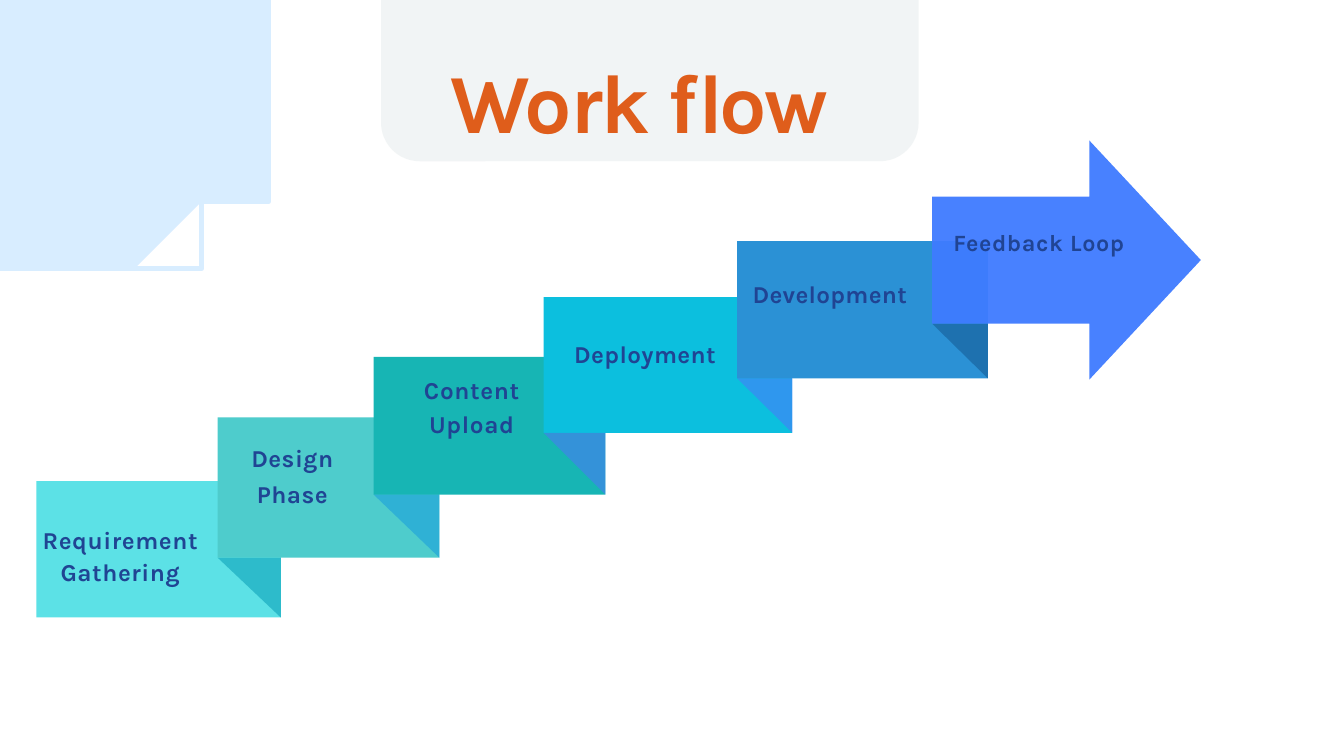
from lxml import etree
from pptx import Presentation
from pptx.dml.color import RGBColor
from pptx.enum.shapes import MSO_SHAPE
from pptx.enum.text import MSO_ANCHOR, PP_ALIGN
from pptx.oxml.ns import qn
from pptx.util import Inches, Pt

RECTANGLE = MSO_SHAPE.RECTANGLE
FOLD = MSO_SHAPE.RIGHT_TRIANGLE
ARROW = MSO_SHAPE.RIGHT_ARROW
PANEL = MSO_SHAPE.ROUND_2_SAME_RECTANGLE
LEFT, CENTER = PP_ALIGN.LEFT, PP_ALIGN.CENTER
TOP, MIDDLE = MSO_ANCHOR.TOP, MSO_ANCHOR.MIDDLE

# The slide is a grid of 20 columns by 11.25 rows, each cell one inch square.
COLUMNS, ROWS = 20, 11.25
FONT = "Karla"
NAVY, ORANGE, PALE_BLUE = "204493", "DF5D1B", "D8EDFF"

# left, top, right, bottom, colour, colour of the fold under the next step
STEPS = [
    (0.54, 7.16, 4.18, 9.19, "5CE1E6", "0097B1"),
    (3.24, 6.21, 6.54, 8.3, "4ECCCC", "1297DF"),
    (5.56, 5.31, 9.01, 7.36, "17B5B4", "5270FF"),
    (8.09, 4.42, 11.79, 6.44, "0CBFDE", "5270FF"),
    (10.97, 3.59, 14.7, 5.63, "2B91D5", "12538A"),
]
ARROW_LEFT, ARROW_TOP, ARROW_WIDTH, ARROW_HEIGHT = 13.87, 2.09, 4, 3.56
SHAFT_HEIGHT, HEAD_LENGTH = 1.89, 1.66
SHAFT_BOTTOM = ARROW_TOP + (ARROW_HEIGHT + SHAFT_HEIGHT) / 2

# lines, centre column, centre row, size, letter spacing, gap between lines
LABELS = [
    (["Requirement", "Gathering"], 1.79, 8.27, 26, 0.6, 4),
    (["Design", "Phase"], 4.35, 7.08, 26, 0.5, 8),
    (["Content", "Upload"], 7.02, 6.05, 26, 0.7, 5),
    (["Deployment"], 9.6, 5.26, 26, 0.4, 0),
    (["Development"], 12.35, 4.37, 26, 0.3, 0),
    (["Feedback Loop"], 15.46, 3.6, 25, 0.7, 0),
]
LABEL_WIDTH, LABEL_HEIGHT = 3, 1.1

DISC_EDGE = [
    (3.48, 0), (3.78, 0.44), (3.98, 0.96), (4.06, 1.54), (3.9, 1.97),
    (3.64, 2.44), (3.27, 2.92), (2.8, 3.33), (2.17, 3.69), (1.5, 3.89),
    (0.77, 3.9), (0.24, 3.78), (0, 3.65),
]
RING = [
    (3.97, 0), (4.07, 0.3), (4.11, 0.75), (4.09, 1.25), (4.02, 1.79),
    (3.92, 2.26), (3.76, 2.7), (3.52, 3.1), (3.2, 3.46), (2.8, 3.76),
    (2.36, 3.98), (1.9, 4.12), (1.35, 4.17), (0.9, 4.14), (0.4, 4.02), (0, 3.84),
]


def colour(hex_code):
    return RGBColor.from_string(hex_code)


def fill_shape(shape, hex_code, opacity=100):
    shape.shadow.inherit = False
    shape.line.fill.background()
    shape.fill.solid()
    shape.fill.fore_color.rgb = colour(hex_code)
    if opacity < 100:
        tint = shape.fill._xPr.find(qn("a:solidFill"))[0]
        etree.SubElement(tint, qn("a:alpha"), val=str(opacity * 1000))


def add_block(slide, kind, left, top, width, height, hex_code, opacity=100):
    block = slide.shapes.add_shape(
        kind, Inches(left), Inches(top), Inches(width), Inches(height))
    fill_shape(block, hex_code, opacity)
    return block


def smooth_curve(points, parts=5):
    """Return points of a Catmull-Rom curve through the given points."""
    padded = [points[0], *points, points[-1]]
    curve = []
    for before, start, end, after in zip(padded, padded[1:], padded[2:], padded[3:]):
        for part in range(parts):
            t = part / parts
            curve.append(tuple(
                b + ((c - a) * t + (2 * a - 5 * b + 4 * c - d) * t ** 2
                     + (3 * b - a - 3 * c + d) * t ** 3) / 2
                for a, b, c, d in zip(before, start, end, after)))
    return curve + [points[-1]]


def add_outline(slide, points, close):
    builder = slide.shapes.build_freeform(*points[0], scale=Inches(1))
    builder.add_line_segments(points[1:], close=close)
    return builder.convert_to_shape()


def add_corner_circles(slide):
    disc = add_outline(slide, smooth_curve(DISC_EDGE) + [(0, 0)], close=True)
    fill_shape(disc, PALE_BLUE)
    ring = add_outline(slide, smooth_curve(RING), close=False)
    ring.shadow.inherit = False
    ring.fill.background()
    ring.line.color.rgb = colour(PALE_BLUE)
    ring.line.width = Pt(5.4)


def add_text(slide, lines, left, top, width, height, hex_code, size,
             spacing, align=CENTER, anchor=MIDDLE, gap=0):
    frame = slide.shapes.add_textbox(
        Inches(left), Inches(top), Inches(width), Inches(height)).text_frame
    frame_format = {
        "word_wrap": True, "vertical_anchor": anchor, "margin_left": 0,
        "margin_right": 0, "margin_top": 0, "margin_bottom": 0,
    }
    for name, value in frame_format.items():
        setattr(frame, name, value)
    for index, line in enumerate(lines):
        paragraph = frame.add_paragraph() if index else frame.paragraphs[0]
        paragraph.alignment = align
        if index:
            paragraph.space_before = Pt(gap)
        run = paragraph.add_run()
        run.text = line
        for name, value in {"name": FONT, "size": Pt(size), "bold": True}.items():
            setattr(run.font, name, value)
        run.font.color.rgb = colour(hex_code)
        run.font._element.set("spc", str(round(spacing * 100)))


def add_staircase(slide):
    for left, top, right, bottom, hex_code, _ in STEPS:
        add_block(slide, RECTANGLE, left, top, right - left, bottom - top, hex_code)
    next_corners = [(step[0], step[3]) for step in STEPS[1:]]
    next_corners.append((ARROW_LEFT, SHAFT_BOTTOM))
    for (_, _, right, bottom, _, shade), (left, top) in zip(STEPS, next_corners):
        fold = add_block(slide, FOLD, left, top, right - left, bottom - top, shade, 50)
        fold.rotation = 180
    arrow = add_block(slide, ARROW, ARROW_LEFT, ARROW_TOP,
                      ARROW_WIDTH, ARROW_HEIGHT, "3F7BFF", 95)
    arrow.adjustments[0] = SHAFT_HEIGHT / ARROW_HEIGHT
    arrow.adjustments[1] = HEAD_LENGTH / ARROW_HEIGHT


def add_title(slide):
    panel = add_block(slide, PANEL, 5.67, 0, 8, 2.4, "ECF0F1", 71)
    panel.adjustments[0] = 0
    panel.adjustments[1] = 0.24
    add_text(slide, ["Work flow"], 6.71, 0.73, 6.2, 1.53, ORANGE, 90, -2.4,
             align=LEFT, anchor=TOP)


def main():
    presentation = Presentation()
    presentation.slide_width = Inches(COLUMNS)
    presentation.slide_height = Inches(ROWS)
    slide = presentation.slides.add_slide(presentation.slide_layouts[6])
    add_staircase(slide)
    add_title(slide)
    for lines, column, row, size, spacing, gap in LABELS:
        add_text(slide, lines, column - LABEL_WIDTH / 2, row - LABEL_HEIGHT / 2,
                 LABEL_WIDTH, LABEL_HEIGHT, NAVY, size, spacing, gap=gap)
    add_corner_circles(slide)
    presentation.save("out.pptx")


if __name__ == "__main__":
    main()
